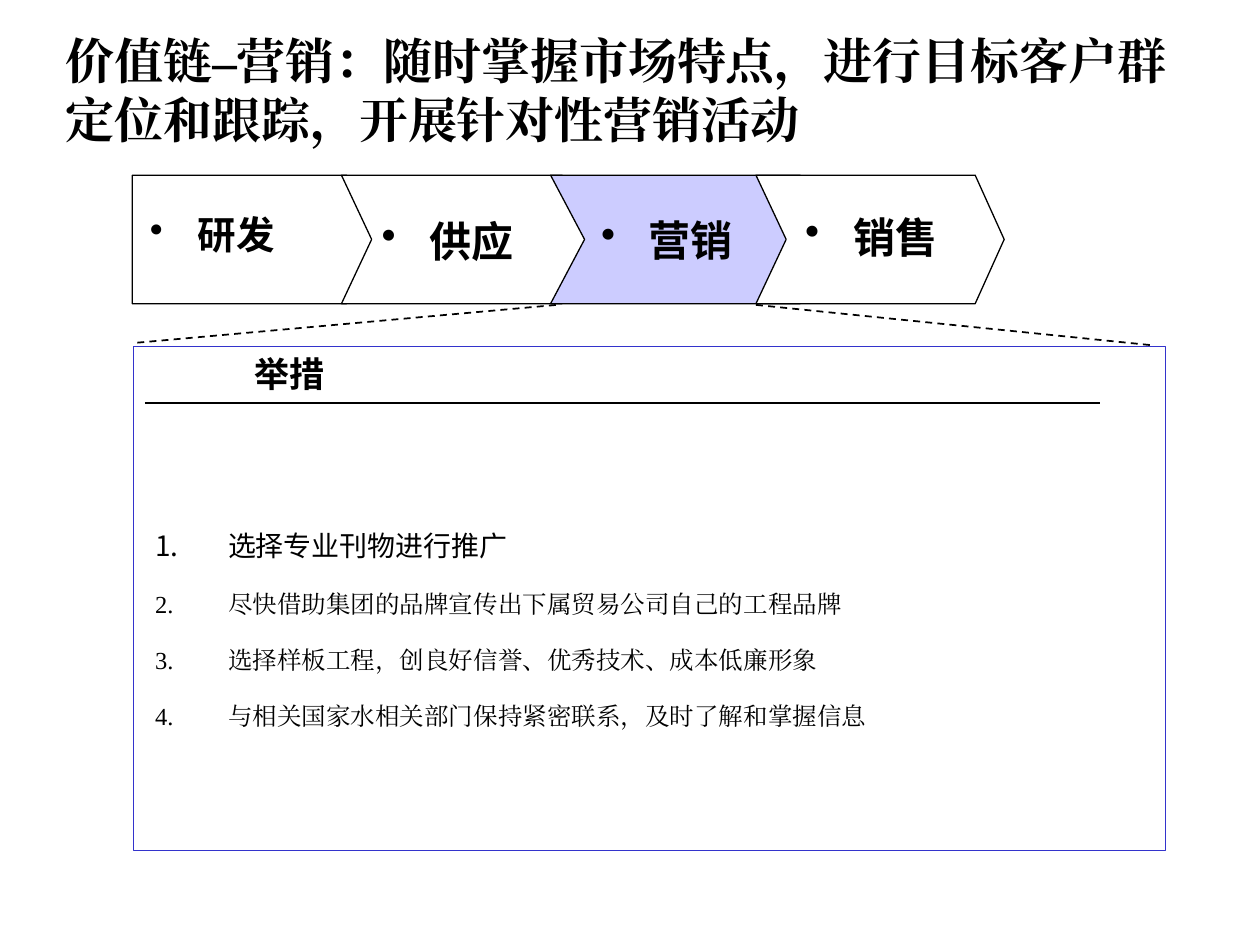
from dataclasses import dataclass

from lxml import etree
from pptx import Presentation
from pptx.dml.color import RGBColor
from pptx.enum.dml import MSO_LINE
from pptx.enum.shapes import MSO_CONNECTOR, MSO_SHAPE
from pptx.enum.text import MSO_ANCHOR, MSO_AUTO_SIZE, PP_ALIGN
from pptx.oxml.ns import qn
from pptx.util import Inches, Pt

STRAIGHT = MSO_CONNECTOR.STRAIGHT
RECTANGLE = MSO_SHAPE.RECTANGLE
DASH = MSO_LINE.DASH
MIDDLE, TOP = MSO_ANCHOR.MIDDLE, MSO_ANCHOR.TOP
LEFT, CENTER = PP_ALIGN.LEFT, PP_ALIGN.CENTER
NO_FIT, GROW = MSO_AUTO_SIZE.NONE, MSO_AUTO_SIZE.SHAPE_TO_FIT_TEXT


@dataclass(frozen=True)
class Theme:
    ink: RGBColor = RGBColor(0x00, 0x00, 0x00)
    paper: RGBColor = RGBColor(0xFF, 0xFF, 0xFF)
    highlight: RGBColor = RGBColor(0xCC, 0xCC, 0xFF)
    frame: RGBColor = RGBColor(0x33, 0x33, 0xCC)
    sans: str = "Noto Sans CJK SC"
    serif: str = "Times New Roman"
    title: float = 28
    stage: float = 24
    first_stage: float = 22
    heading: float = 20
    lead: float = 16
    body: float = 14
    thin: float = 0.75
    line: float = 1


@dataclass(frozen=True)
class Box:
    left: float
    top: float
    width: float
    height: float

    def inside(self, dx, dy, width, height):
        return Box(self.left + dx, self.top + dy, width, height)

    def lengths(self):
        return [Inches(v) for v in (self.left, self.top, self.width, self.height)]


@dataclass(frozen=True)
class Stage:
    name: str
    left: float
    shoulder: float
    tip: float
    notch: float
    label: Box
    size: float
    spacing: float
    fill: RGBColor


THEME = Theme()
TITLE = "价值链–营销：随时掌握市场特点，进行目标客户群定位和跟踪，开展针对性营销活动"
STAGES = [
    Stage("研发", 0, 1.7, 1.93, 0, Box(0.09, 0.29, 1.29, 0.4), THEME.first_stage, 0.9, THEME.paper),
    Stage("供应", 1.66, 3.41, 3.64, 0.24, Box(1.93, 0.08, 1.36, 0.88), THEME.stage, 1, THEME.paper),
    Stage("营销", 3.32, 5.3, 5.58, 0.27, Box(3.67, 0.07, 1.28, 0.88), THEME.stage, 1, THEME.highlight),
    Stage("销售", 4.95, 6.69, 6.92, 0.24, Box(5.29, 0.05, 1.32, 0.88), THEME.stage, 1, THEME.paper),
]
MEASURES = [
    ("选择专业刊物进行推广", THEME.lead, THEME.sans),
    ("尽快借助集团的品牌宣传出下属贸易公司自己的工程品牌", THEME.body, THEME.serif),
    ("选择样板工程，创良好信誉、优秀技术、成本低廉形象", THEME.body, THEME.serif),
    ("与相关国家水相关部门保持紧密联系，及时了解和掌握信息", THEME.body, THEME.serif),
]


def place(shape, box):
    shape.left, shape.top, shape.width, shape.height = box.lengths()


def set_frame(frame, anchor, fit, side, edge):
    frame.word_wrap = True
    frame.auto_size = fit
    frame.vertical_anchor = anchor
    frame.margin_left = frame.margin_right = Inches(side)
    frame.margin_top = frame.margin_bottom = Inches(edge)


def add_run(paragraph, text, size, face, bold=False):
    run = paragraph.add_run()
    run.text = text
    font = run.font
    font.size, font.bold, font.name = Pt(size), bold, face
    font.color.rgb = THEME.ink
    etree.SubElement(run._r.get_or_add_rPr(), qn("a:ea"), typeface=face)


def add_marker(paragraph, tag, indent, hanging, **attributes):
    properties = paragraph._p.get_or_add_pPr()
    properties.set("marL", str(Inches(indent)))
    properties.set("indent", str(-Inches(hanging)))
    etree.SubElement(properties, qn(tag), **attributes)


def style(shape, fill, line, width):
    shape.shadow.inherit = False
    shape.fill.solid()
    shape.fill.fore_color.rgb = fill
    shape.line.color.rgb = line
    shape.line.width = Pt(width)


def add_line(slide, start, end, dash=None):
    line = slide.shapes.add_connector(STRAIGHT, *[Inches(v) for v in (*start, *end)])
    line.line.color.rgb = THEME.ink
    line.line.width = Pt(THEME.line)
    if dash:
        line.line.dash_style = dash
    etree.SubElement(line._element.spPr, qn("a:effectLst"))


def add_title(slide, box):
    title = slide.shapes.title
    place(title, box)
    set_frame(title.text_frame, MIDDLE, NO_FIT, 0.1, 0.05)
    paragraph = title.text_frame.paragraphs[0]
    paragraph.alignment = LEFT
    add_run(paragraph, TITLE, THEME.title, THEME.serif, True)


def add_stage(slide, box, stage):
    left, shoulder, tip = (box.left + x for x in (stage.left, stage.shoulder, stage.tip))
    middle, bottom = box.top + box.height / 2, box.top + box.height
    corners = [(left, box.top), (shoulder, box.top), (tip, middle), (shoulder, bottom),
               (left, bottom), (left + stage.notch, middle)]
    points = [(Inches(x), Inches(y)) for x, y in corners]
    outline = slide.shapes.build_freeform(*points[0])
    outline.add_line_segments(points[1:], close=True)
    style(outline.convert_to_shape(), stage.fill, THEME.ink, THEME.thin)

    spot = stage.label
    label = slide.shapes.add_textbox(*box.inside(spot.left, spot.top, spot.width, spot.height).lengths())
    set_frame(label.text_frame, MIDDLE, NO_FIT, 0.05, 0)
    paragraph = label.text_frame.paragraphs[0]
    add_marker(paragraph, "a:buChar", 0.38, 0.38, char="•")
    paragraph.line_spacing = stage.spacing
    add_run(paragraph, stage.name, stage.size, THEME.sans, True)


def add_value_chain(slide, box):
    for stage in STAGES:
        add_stage(slide, box, stage)


def add_measures(slide, box):
    panel = slide.shapes.add_shape(RECTANGLE, *box.lengths())
    style(panel, THEME.paper, THEME.frame, THEME.line)
    rule = box.top + 0.45
    add_line(slide, (box.left + 0.09, rule), (box.left + 7.67, rule))

    heading = slide.shapes.add_textbox(*box.inside(0.11, 0, 2.25, 0.44).lengths())
    set_frame(heading.text_frame, TOP, GROW, 0.1, 0.05)
    paragraph = heading.text_frame.paragraphs[0]
    paragraph.alignment = CENTER
    add_run(paragraph, "举措", THEME.heading, THEME.sans, True)

    measures = slide.placeholders[1]
    slide.shapes._spTree.append(measures._element)
    place(measures, box.inside(0.11, 1.26, 8, 1.79))
    measures.fill.solid()
    measures.fill.fore_color.rgb = THEME.paper
    frame = measures.text_frame
    set_frame(frame, MIDDLE, GROW, 0.05, 0)
    for index, (text, size, face) in enumerate(MEASURES):
        paragraph = frame.add_paragraph() if index else frame.paragraphs[0]
        add_marker(paragraph, "a:buAutoNum", 0.59, 0.58, type="arabicPeriod")
        paragraph.line_spacing = 1.7
        paragraph.space_before = Pt(3.5 if index else 0)
        add_run(paragraph, text, size, face)


def add_callout(slide, box):
    right, bottom = box.left + box.width, box.top + box.height
    add_line(slide, (box.left, bottom - 0.02), (4.42, box.top), DASH)
    add_line(slide, (6, box.top), (right, bottom), DASH)


def main():
    deck = Presentation()
    deck.slide_width, deck.slide_height = Inches(10), Inches(7.5)
    slide = deck.slides.add_slide(deck.slide_layouts[1])
    add_title(slide, Box(0.42, 0.25, 9.08, 0.92))
    add_measures(slide, Box(1.06, 2.75, 8.19, 4))
    add_callout(slide, Box(1.09, 2.42, 8.05, 0.32))
    add_value_chain(slide, Box(1.05, 1.39, 6.92, 1.02))
    deck.save("out.pptx")


if __name__ == "__main__":
    main()
